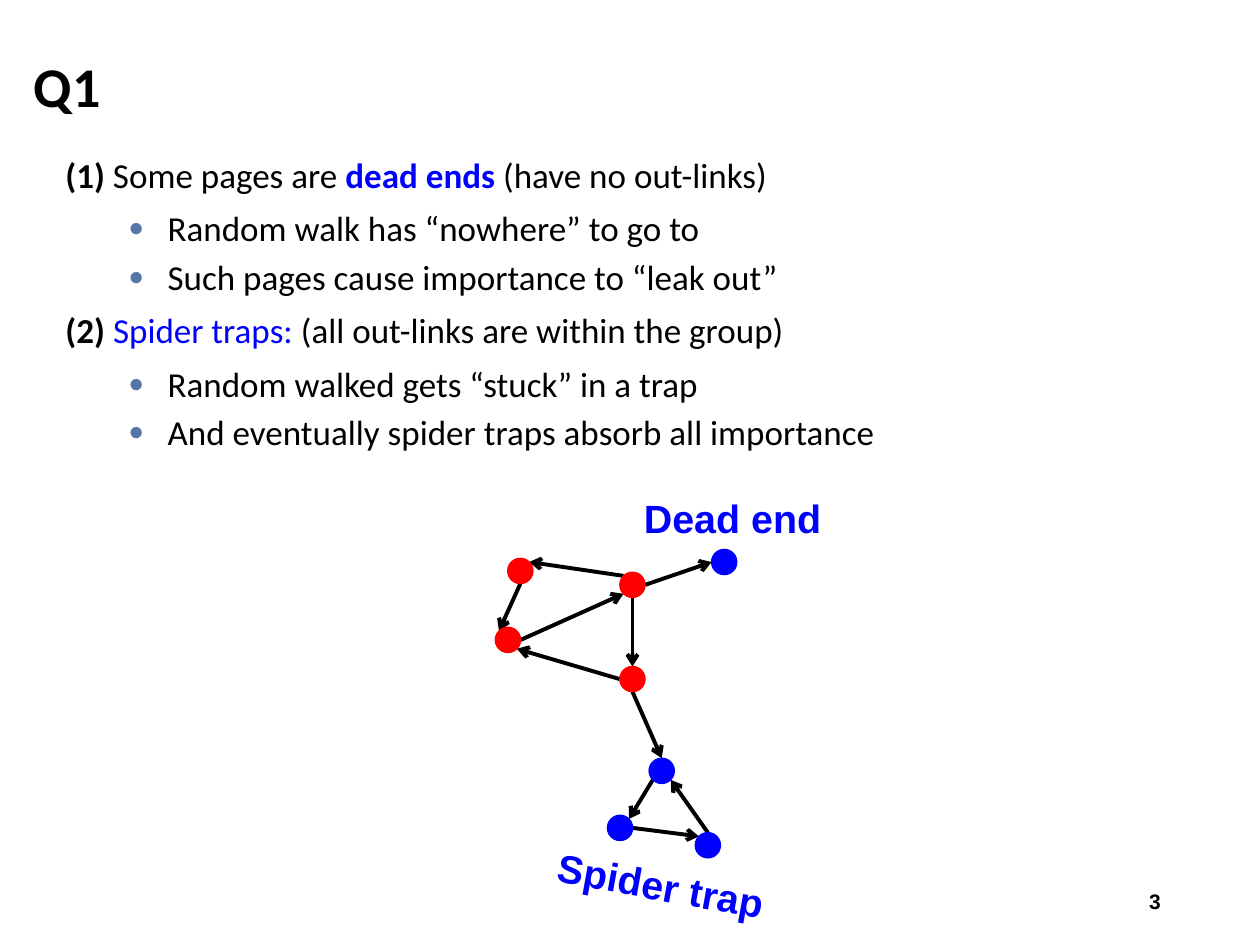
from math import cos, radians, sin

from lxml.etree import SubElement
from pptx import Presentation
from pptx.dml.color import RGBColor
from pptx.enum.shapes import MSO_CONNECTOR, MSO_SHAPE
from pptx.enum.text import MSO_ANCHOR, PP_ALIGN
from pptx.oxml.ns import qn
from pptx.util import Cm, Pt

BLACK, BLUE, RED, BULLET = "000000", "0000FF", "FF0000", "5675A9"
DIAMETER = 0.51

OUTLINE = [
    (0, [("(1)", BLACK, True), (" Some pages are ", BLACK, False),
         ("dead ends", BLUE, True), (" (have no out-links)", BLACK, False)]),
    (1, [("Random walk has “nowhere” to go to", BLACK, False)]),
    (1, [("Such pages cause importance to “leak out”", BLACK, False)]),
    (0, [("(2) ", BLACK, True), ("Spider traps: ", BLUE, False),
         ("(all out-links are within the group)", BLACK, False)]),
    (1, [("Random walked gets “stuck” in a trap", BLACK, False)]),
    (1, [("And eventually spider traps absorb all importance", BLACK, False)]),
]
LEVEL_SPACING = [4.7, 1.8]

NODES = {
    "upper left": (10.49, 11.51, RED),
    "lower left": (10.24, 12.9, RED),
    "upper right": (12.75, 11.79, RED),
    "lower right": (12.75, 13.69, RED),
    "dead end": (14.6, 11.33, BLUE),
    "trap top": (13.34, 15.54, BLUE),
    "trap left": (12.5, 16.69, BLUE),
    "trap right": (14.27, 17.04, BLUE),
}
ANGLES = {"E": 0, "SE": 45, "S": 90, "SW": 135, "W": 180, "NW": 225, "N": 270, "NE": 315}
EDGES = [
    ("upper left", "S", "lower left", "NW"),
    ("lower left", "E", "upper right", "SW"),
    ("upper right", "S", "lower right", "N"),
    ("lower right", "W", "lower left", "SE"),
    ("upper right", "E", "dead end", "W"),
    ("upper right", "NW", "upper left", "NE"),
    ("lower right", "S", "trap top", "N"),
    ("trap top", "SW", "trap left", "NE"),
    ("trap left", "E", "trap right", "NW"),
    ("trap right", "N", "trap top", "SE"),
]


def color(value):
    return RGBColor.from_string(value)


def add_run(paragraph, text, size=20, font="Calibri", fill=BLACK, bold=True):
    run = paragraph.add_run()
    run.text = text
    run.font.size = Pt(size)
    run.font.name = font
    run.font.bold = bold
    run.font.color.rgb = color(fill)


def add_box(slide, left, top, width, height, anchor=MSO_ANCHOR.TOP, wrap=True):
    shape = slide.shapes.add_textbox(Cm(left), Cm(top), Cm(width), Cm(height))
    shape.text_frame.word_wrap = wrap
    shape.text_frame.vertical_anchor = anchor
    return shape


def add_label(slide, text, box, align=PP_ALIGN.LEFT, rotation=0,
              anchor=MSO_ANCHOR.TOP, wrap=True, **font):
    shape = add_box(slide, *box, anchor=anchor, wrap=wrap)
    shape.rotation = rotation
    paragraph = shape.text_frame.paragraphs[0]
    paragraph.alignment = align
    add_run(paragraph, text, **font)


def add_bullet(paragraph):
    properties = paragraph._p.get_or_add_pPr()
    properties.set("marL", str(Cm(2.06)))
    properties.set("indent", str(-Cm(0.79)))
    bullet_color = SubElement(properties, qn("a:buClr"))
    SubElement(bullet_color, qn("a:srgbClr"), val=BULLET)
    SubElement(properties, qn("a:buSzPct"), val="75000")
    SubElement(properties, qn("a:buFont"), typeface="Arial")
    SubElement(properties, qn("a:buChar"), char="●")


def add_outline(slide):
    frame = add_box(slide, 1.07, 2.97, 23.5, 14.17).text_frame
    for index, (level, runs) in enumerate(OUTLINE):
        paragraph = frame.add_paragraph() if index else frame.paragraphs[0]
        paragraph.level = level
        paragraph.space_before = paragraph.space_after = Pt(LEVEL_SPACING[level])
        if level:
            add_bullet(paragraph)
        for text, fill, bold in runs:
            add_run(paragraph, text, fill=fill, bold=bold)


def rim_point(node, side):
    x, y, _ = NODES[node]
    angle = radians(ANGLES[side])
    return Cm(x + DIAMETER / 2 * cos(angle)), Cm(y + DIAMETER / 2 * sin(angle))


def add_edge(slide, start, start_side, end, end_side):
    connector = slide.shapes.add_connector(
        MSO_CONNECTOR.STRAIGHT, *rim_point(start, start_side), *rim_point(end, end_side))
    connector.line.color.rgb = color(BLACK)
    connector.line.width = Pt(2.25)
    SubElement(connector.line._get_or_add_ln(), qn("a:tailEnd"), type="arrow")
    SubElement(connector._element.spPr, qn("a:effectLst"))


def add_node(slide, x, y, fill):
    shape = slide.shapes.add_shape(
        MSO_SHAPE.OVAL, Cm(x - DIAMETER / 2), Cm(y - DIAMETER / 2), Cm(DIAMETER), Cm(DIAMETER))
    shape.shadow.inherit = False
    shape.fill.solid()
    shape.fill.fore_color.rgb = color(fill)
    shape.line.color.rgb = color(fill)
    shape.line.width = Pt(0.75)


def main():
    presentation = Presentation()
    presentation.slide_width, presentation.slide_height = Cm(25.4), Cm(19.05)
    slide = presentation.slides.add_slide(presentation.slide_layouts[6])
    add_outline(slide)
    add_label(slide, "Q1", (0.43, 0.3, 24.13, 2.84), anchor=MSO_ANCHOR.MIDDLE, size=32)
    add_label(slide, "3", (17.93, 17.65, 5.72, 1.02), align=PP_ALIGN.RIGHT,
              anchor=MSO_ANCHOR.MIDDLE, size=12, font="Arial")
    for edge in EDGES:
        add_edge(slide, *edge)
    for node in NODES.values():
        add_node(slide, *node)
    caption = {"size": 22.5, "font": "Arial", "fill": BLUE}
    add_label(slide, "Dead end", (12.73, 9.83, 4.27, 1.22), **caption)
    add_label(slide, "Spider trap", (10.97, 17.25, 4.75, 1.22), rotation=10.4,
              wrap=False, **caption)
    presentation.save("out.pptx")


if __name__ == "__main__":
    main()
